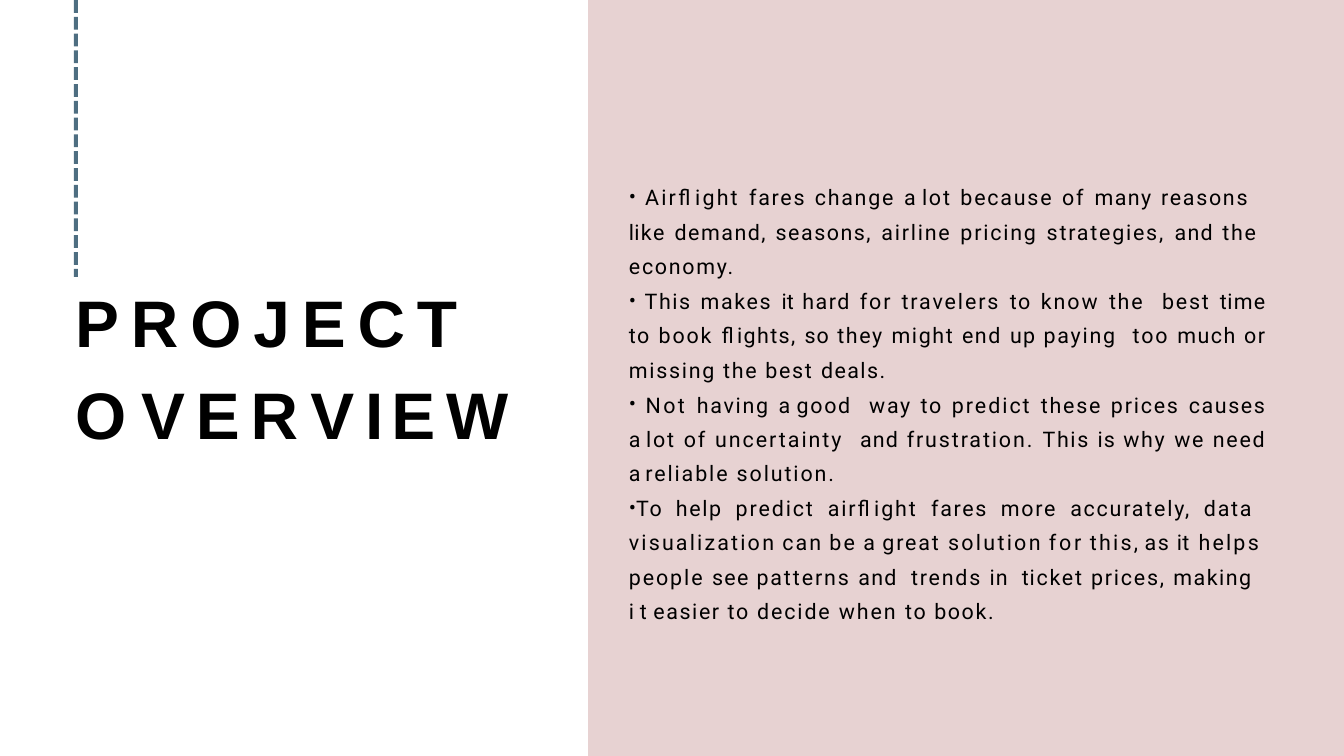
from lxml import etree
from pptx import Presentation
from pptx.dml.color import RGBColor
from pptx.enum import shapes, text
from pptx.oxml import ns
from pptx.util import Inches, Pt

COLORS = {"dash": "4E6E81", "panel": "E1C7C7", "text": "000000"}
TITLE_FORMAT = {"name": "Arial", "size": Pt(70.5), "bold": True}
BODY_FORMAT = {"name": "Roboto", "size": Pt(23), "bold": False}

# Each run is its words and its letter spacing in points
TITLE = [("PROJECT  ", 12.8), ("O", 15.9), ("VE", 11.6), ("R", 13.3),
         ("V", 11.6), ("I", 8.6), ("E", 11.6), ("W", 14.9)]
POINTS = [
    # The spaces after "reasons" do not break
    [(" Airflight ", 2.3), ("fares change ", 1.8), ("a ", -0.7),
     ("lot because of ", 1.9), ("many ", 1.5), ("reasons   ", 1.8), ("l", 0.1),
     ("ike demand, seasons, ", 1.6), ("airline pricing strategies, ", 1.9),
     ("and ", 1.3), ("the  economy.", 1.8)],
    [(" This makes ", 1.7), ("i", 0.2), ("t ", 0.6), ("hard ", 1.6),
     ("for travelers ", 2), ("to ", 1.6), ("know ", 2.1), ("the  best ", 1.8),
     ("t", 0.6), ("ime ", 1.4), ("to ", 1.6), ("book ", 2), ("flights, ", 1.5),
     ("so ", 1.2), ("they might end ", 1.7), ("up ", 1.2), ("paying  too ", 1.9),
     ("much or ", 1.5), ("missing the best ", 1.8), ("deals.", 1.5)],
    [(" Not ", 2.6), ("having ", 1.8), ("a ", -0.7), ("good  way to ", 1.8),
     ("predict ", 2.1), ("these prices ", 1.9), ("causes ", 1.7), ("a ", -0.7),
     ("lot of ", 1.9), ("uncertainty  ", 2.1), ("and ", 1.3),
     ("frustration. ", 2), ("This ", 1.7), ("is ", 1.1), ("why we need ", 1.8),
     ("a ", -0.7), ("reliable solution.", 2)],
    # The second space after "helps" does not break
    [("To help ", 1.7), ("predict airflight ", 2), ("fares more ", 1.8),
     ("accurately, data  ", 1.9), ("visualizatio", 2.3), ("n ", 0), ("ca", 2.1),
     ("n ", 0), ("b", 2.4), ("e ", 0), ("a ", -0.7), ("grea", 1.9), ("t ", 0.6),
     ("solutio", 2.4), ("n ", 0), ("fo", 2.9), ("r ", 0.1), ("this", 2.4),
     (", ", -1.8), ("a", 1.6), ("s ", -0.3), ("i", 0.2), ("t ", 0.6),
     ("help", 2.3), ("s  ", -0.2), ("people ", 2), ("see ", 1.4),
     ("patterns ", 2), ("and  ", 1.3), ("trends ", 1.9), ("in  ", 1.2),
     ("t", 0.6), ("icket prices, ", 1.9), ("making   ", 1.6), ("i ", 0.2),
     ("t ", 0.6), ("easier to ", 1.7), ("decide when ", 2), ("to book.", 1.7)],
]


def add_block(slide, left, top, width, height, color, alpha=None):
    sp = slide.shapes.add_shape(shapes.MSO_SHAPE.RECTANGLE, Inches(left),
                                Inches(top), Inches(width), Inches(height))
    sp.shadow.inherit = False
    sp.line.fill.background()
    sp.fill.solid()
    sp.fill.fore_color.rgb = RGBColor.from_string(COLORS[color])
    if alpha is not None:
        clr = sp._element.spPr.find(".//" + ns.qn("a:srgbClr"))
        etree.SubElement(clr, ns.qn("a:alpha"), val=str(alpha * 1000))


def place(sp, left, top, width, height):
    box = {"left": left, "top": top, "width": width, "height": height}
    for name, value in box.items():
        setattr(sp, name, Inches(value))
    tf = sp.text_frame
    frame = {"margin_left": 0, "margin_right": 0, "margin_bottom": 0,
             "margin_top": Inches(0.01), "word_wrap": True,
             "vertical_anchor": text.MSO_ANCHOR.TOP,
             "auto_size": text.MSO_AUTO_SIZE.SHAPE_TO_FIT_TEXT}
    for name, value in frame.items():
        setattr(tf, name, value)
    return tf


def write(p, runs, font, align, line_spacing, space_before, bullet=None):
    layout = {"alignment": align, "line_spacing": line_spacing,
              "space_before": Pt(space_before)}
    for name, value in layout.items():
        setattr(p, name, value)
    pPr = p._p.get_or_add_pPr()
    pPr.set("marL", str(Inches(0.01)))
    pPr.set("indent", "0")
    if bullet:
        etree.SubElement(pPr, ns.qn("a:buFont"), typeface=font["name"])
        etree.SubElement(pPr, ns.qn("a:buChar"), char=bullet)
    for words, tracking in runs:
        r = p.add_run()
        r.text = words
        for name, value in font.items():
            setattr(r.font, name, value)
        r.font.color.rgb = RGBColor.from_string(COLORS["text"])
        r._r.get_or_add_rPr().set("spc", str(round(tracking * 100)))


def main():
    prs = Presentation()
    prs.slide_width, prs.slide_height = Inches(20), Inches(11.25)
    s = prs.slides.add_slide(prs.slide_layouts[5])

    # Dashed rule, with a shorter last dash
    dash_count, pitch = 17, 0.25
    for i in range(dash_count):
        height = 0.12 if i == dash_count - 1 else 0.19
        add_block(s, 1.1, i * pitch, 0.06, height, "dash")

    # Tinted right panel
    add_block(s, 8.75, 0, 11.25, 11.25, "panel", alpha=80)

    # Title, moved in front of the panel
    title = s.shapes.title
    s.shapes._spTree.append(title._element)
    tf = place(title, 1.11, 3.98, 6.68, 2.77)
    write(tf.paragraphs[0], TITLE, TITLE_FORMAT, text.PP_ALIGN.LEFT, 1.17, 1)

    # Bulleted overview
    tf = place(s.shapes.add_textbox(0, 0, 0, 0), 9.35, 2.61, 9.5, 7.28)
    for i, point in enumerate(POINTS):
        p = tf.paragraphs[0] if i == 0 else tf.add_paragraph()
        write(p, point, BODY_FORMAT, text.PP_ALIGN.JUSTIFY, 1.33, 0.9, "•")

    prs.save("out.pptx")


if __name__ == "__main__":
    main()
